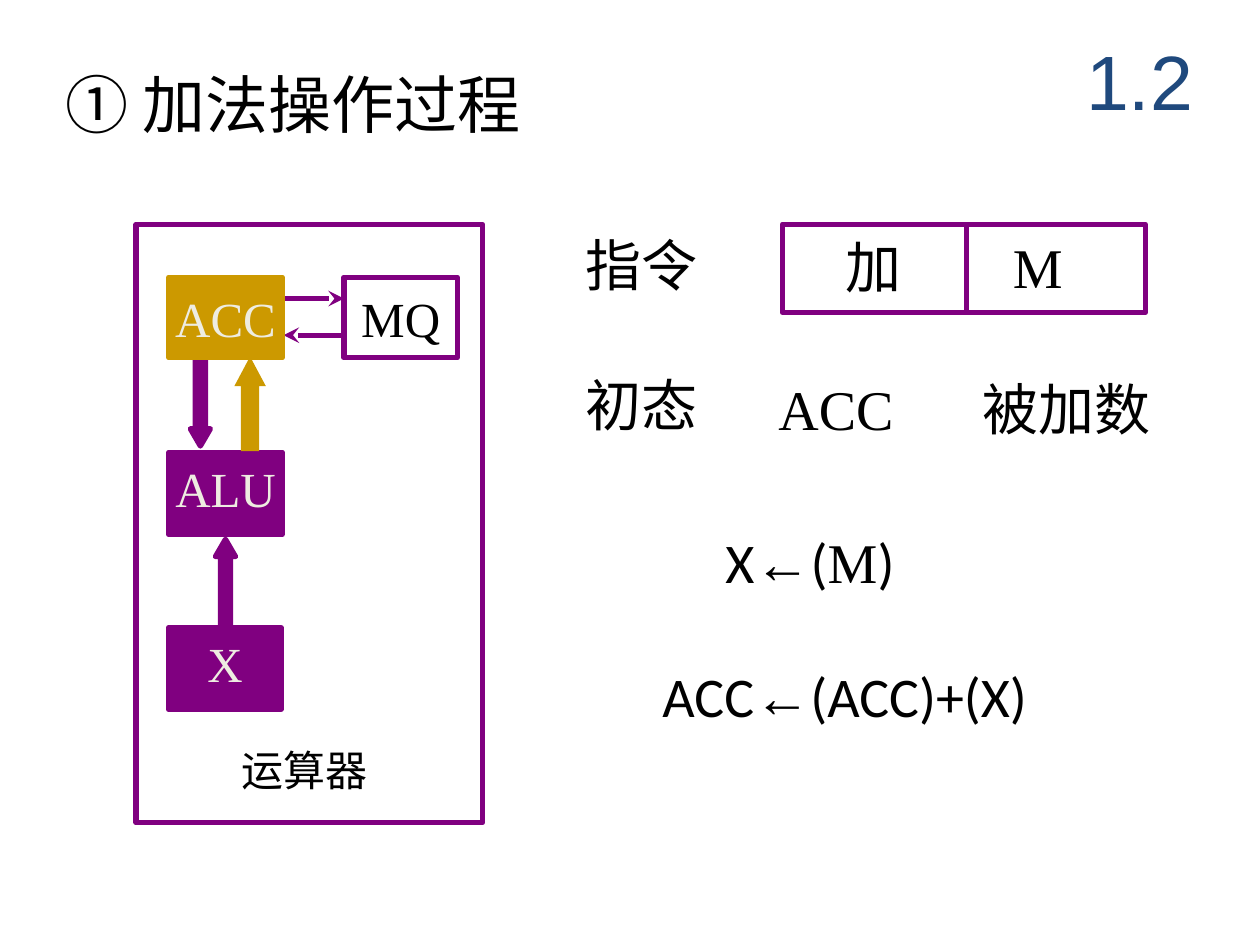
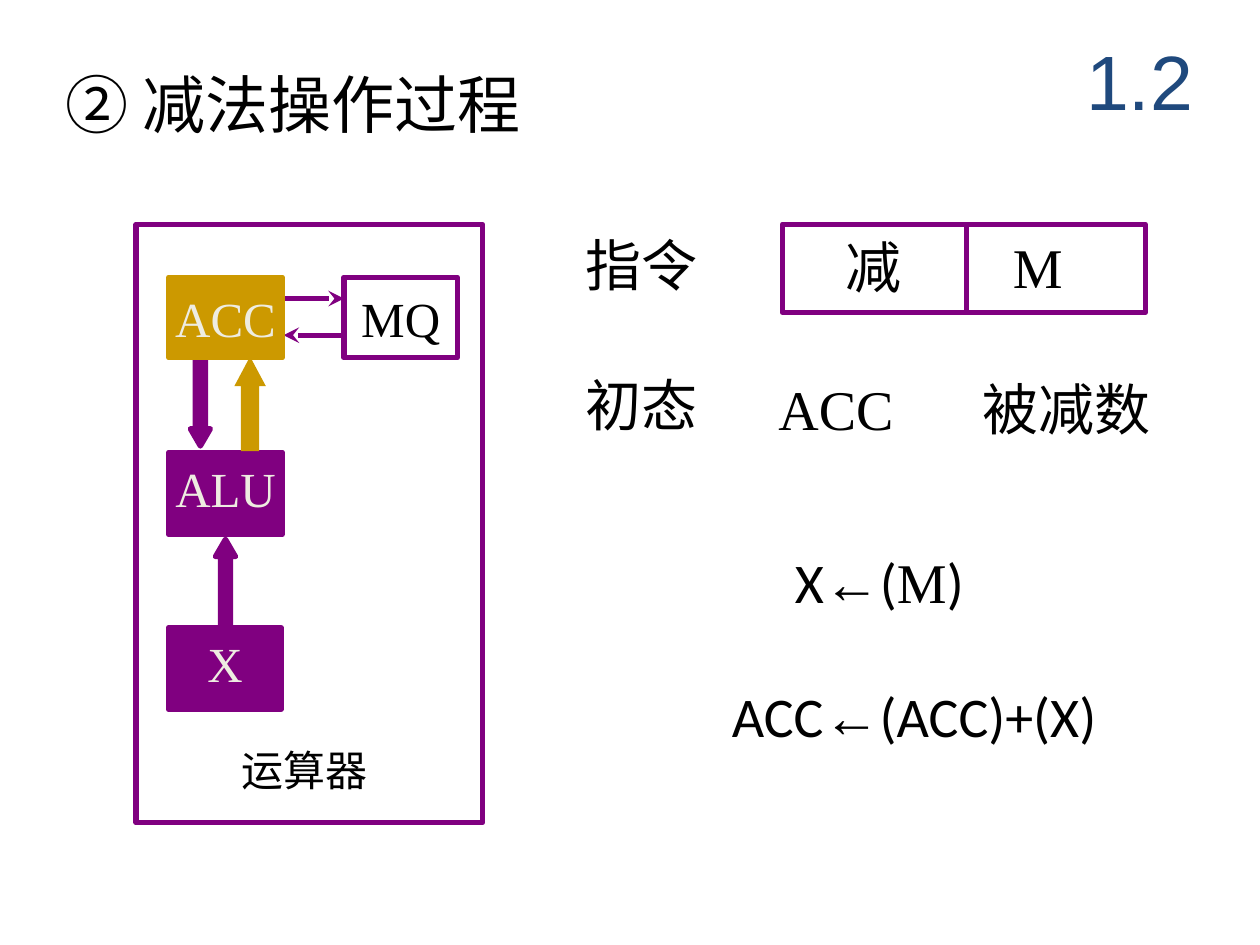
from lxml.etree import SubElement
from pptx import Presentation
from pptx.dml.color import RGBColor
from pptx.enum.shapes import MSO_CONNECTOR as Connector, MSO_SHAPE as Shape
from pptx.enum.text import MSO_ANCHOR as Anchor, MSO_AUTO_SIZE as AutoSize, PP_ALIGN as Align
from pptx.oxml.ns import qn
from pptx.util import Inches, Pt

BLACK = RGBColor(0x00, 0x00, 0x00)
PURPLE = RGBColor(0x80, 0x00, 0x80)
GOLD = RGBColor(0xCC, 0x99, 0x00)
CREAM = RGBColor(0xEE, 0xEC, 0xE1)
NAVY = RGBColor(0x1F, 0x49, 0x7D)
SANS, SERIF, CHAPTER_FONT = "Calibri", "Times New Roman", "Arial"

OPERATIONS = [
    {"title": "① 加法操作过程", "opcode": "加", "operand": "被加数", "steps_at": (5.16, 4.14)},
    {"title": "② 减法操作过程", "opcode": "减", "operand": "被减数", "steps_at": (5.71, 4.3)},
]
STEPS = [
    [("X", SANS), ("←", CHAPTER_FONT), ("(", SANS), ("M", SERIF), (")", SANS)],
    [("ACC", SANS), ("←", CHAPTER_FONT), ("(ACC)+(X)", SANS)],
]
TITLE_BOX = (0.42, 0.47, 5.33, 0.7)
CHAPTER_BOX = (8.42, 0.17, 1.25, 0.92)
UNIT_FRAME = (1.08, 1.78, 2.75, 4.75)
INSTRUCTION_FRAME = (6.21, 1.78, 2.88, 0.7)
FIELD_DIVIDER = (7.67, 1.77, 7.67, 2.49)
STEP_INDENT, OPERAND_TAB = 0.5, 1.62

REGISTERS = [
    ("ACC", (1.34, 2.2, 0.9, 0.64), GOLD, GOLD, CREAM, 0),
    ("MQ", (2.73, 2.2, 0.9, 0.64), None, PURPLE, BLACK, 0),
    ("ALU", (1.34, 3.59, 0.9, 0.65), PURPLE, PURPLE, CREAM, 0.09),
    ("X", (1.34, 4.98, 0.89, 0.65), PURPLE, PURPLE, CREAM, 0.09),
]
REGISTER_LINKS = [(2.25, 2.37, 2.73, 2.37), (2.73, 2.66, 2.25, 2.66)]
X_TO_ALU = (1.71, 4.28, 0.16, 0.69)
ACC_TO_ALU = (1.51, 2.85, 0.16, 0.69)
ALU_TO_ACC = (1.86, 2.83, 0.25, 0.75)


def lengths(box):
    return [Inches(value) for value in box]


def style_font(font, size, color, name=None):
    font.size, font.color.rgb = Pt(size), color
    if name:
        font.name = name


def add_text(slide, box, text, size=32, name=SANS, color=BLACK):
    shape = slide.shapes.add_textbox(*lengths(box))
    shape.text_frame.word_wrap = True
    shape.text_frame.text = text
    style_font(shape.text_frame.paragraphs[0].font, size, color, name)
    return shape.text_frame


def add_runs(paragraph, runs):
    style_font(paragraph.font, 32, BLACK)
    for text, name in runs:
        run = paragraph.add_run()
        run.text, run.font.name = text, name


def add_block(slide, kind, box, fill=None, line=None):
    shape = slide.shapes.add_shape(kind, *lengths(box))
    shape.shadow.inherit = False
    for part, color in ((shape.fill, fill), (shape.line.fill, line)):
        if color is None:
            part.background()
        else:
            part.solid()
            part.fore_color.rgb = color
    if line is not None:
        shape.line.width = Pt(3)
    return shape


def add_arrow(slide, box, shaft, head, fill, line=None, rotation=0):
    arrow = add_block(slide, Shape.UP_ARROW, box, fill, line)
    arrow.adjustments[0], arrow.adjustments[1] = shaft, head
    arrow.rotation = rotation


def add_line(slide, ends, arrowhead=False):
    line = slide.shapes.add_connector(Connector.STRAIGHT, *lengths(ends))
    line.line.color.rgb, line.line.width = PURPLE, Pt(3)
    if arrowhead:
        SubElement(line.line._get_or_add_ln(), qn("a:tailEnd"), type="stealth")
    SubElement(line._element.spPr, qn("a:effectLst"))


def add_register(slide, name, box, fill, line, color, bottom):
    frame = add_block(slide, Shape.RECTANGLE, box, fill, line).text_frame
    frame.margin_left = frame.margin_right = frame.margin_top = 0
    frame.margin_bottom = Inches(bottom)
    frame.vertical_anchor, frame.word_wrap = Anchor.MIDDLE, False
    frame.text = name
    frame.paragraphs[0].alignment = Align.CENTER
    style_font(frame.paragraphs[0].font, 28, color, SERIF)


def add_heading(slide, title):
    shape = slide.shapes.title
    shape.left, shape.top, shape.width, shape.height = lengths(TITLE_BOX)
    frame = shape.text_frame
    frame.text = title
    frame.vertical_anchor, frame.auto_size = Anchor.TOP, AutoSize.NONE
    frame.paragraphs[0].alignment = Align.LEFT
    style_font(frame.paragraphs[0].font, 36, BLACK, SANS)
    chapter = add_text(slide, CHAPTER_BOX, "1.2", 44, CHAPTER_FONT, NAVY)
    chapter.vertical_anchor = Anchor.MIDDLE
    chapter.paragraphs[0].alignment = Align.CENTER


def add_arithmetic_unit(slide):
    add_block(slide, Shape.RECTANGLE, UNIT_FRAME, line=PURPLE)
    add_text(slide, (1.82, 5.86, 1.3, 0.5), "运算器", 24)
    for ends in REGISTER_LINKS:
        add_line(slide, ends, arrowhead=True)
    for box, rotation in ((X_TO_ALU, 0), (ACC_TO_ALU, 180)):
        add_arrow(slide, box, 0.5, 0.86, PURPLE, PURPLE, rotation)
    for register in REGISTERS:
        add_register(slide, *register)
    add_arrow(slide, ALU_TO_ACC, 0.58, 0.94, GOLD)


def add_instruction(slide, opcode):
    add_text(slide, (4.55, 1.78, 1.19, 0.64), "指令")
    add_block(slide, Shape.RECTANGLE, INSTRUCTION_FRAME, line=PURPLE)
    add_line(slide, FIELD_DIVIDER)
    add_text(slide, (6.61, 1.8, 0.8, 0.64), opcode)
    add_text(slide, (7.94, 1.8, 0.89, 0.64), "M", name=SERIF)


def add_initial_state(slide, operand):
    add_text(slide, (4.55, 2.89, 1.19, 0.64), "初态")
    box = slide.shapes.add_textbox(*lengths((6.08, 2.92, 3.3, 0.64)))
    box.text_frame.word_wrap = True
    paragraph = box.text_frame.paragraphs[0]
    tabs = SubElement(paragraph._p.get_or_add_pPr(), qn("a:tabLst"))
    SubElement(tabs, qn("a:tab"), pos=str(Inches(OPERAND_TAB)), algn="l")
    add_runs(paragraph, [("ACC\t", SERIF), (operand, SANS)])


def add_steps(slide, left, top):
    box = slide.shapes.add_textbox(*lengths((left, top, 3.8, 1.7)))
    frame = box.text_frame
    frame.word_wrap = True
    load, compute = frame.paragraphs[0], frame.add_paragraph()
    load._p.get_or_add_pPr().set("marL", str(Inches(STEP_INDENT)))
    compute.space_before = Pt(38)
    for paragraph, runs in zip((load, compute), STEPS):
        add_runs(paragraph, runs)


def main():
    """Build one slide for each arithmetic operation."""
    presentation = Presentation()
    presentation.slide_width, presentation.slide_height = Inches(10), Inches(7.5)
    for operation in OPERATIONS:
        slide = presentation.slides.add_slide(presentation.slide_layouts[5])
        add_heading(slide, operation["title"])
        add_arithmetic_unit(slide)
        add_instruction(slide, operation["opcode"])
        add_initial_state(slide, operation["operand"])
        add_steps(slide, *operation["steps_at"])
    presentation.save("out.pptx")


if __name__ == "__main__":
    main()
